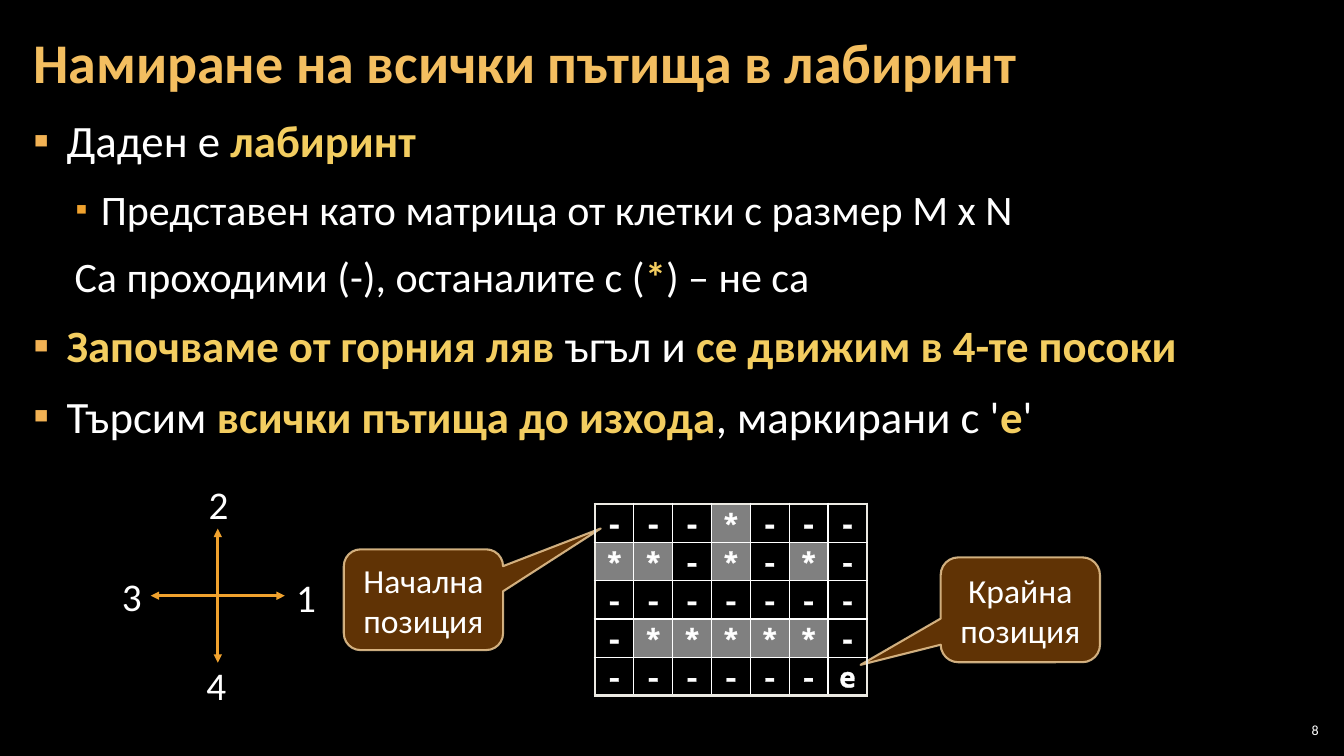
from dataclasses import dataclass

from pptx import Presentation
from pptx.dml.color import RGBColor
from pptx.enum import shapes, text
from pptx.oxml import parse_xml
from pptx.oxml.ns import nsdecls, qn
from pptx.util import Inches, Pt

# Content
TITLE = "Намиране на всички пътища в лабиринт"
# (level, has bullet, runs); a run is (wording, highlighted)
BULLETS = [
    (0, True, [("Даден е ", False), ("лабиринт", True)]),
    (1, True, [("Представен като матрица от клетки с размер M x N", False)]),
    (1, False, [("Са проходими (-), останалите с (", False), ("*", True),
                (") – не са", False)]),
    (0, True, [("Започваме от горния ляв ", True), ("ъгъл и ", False),
               ("се движим в 4-те посоки", True)]),
    (0, True, [("Търсим ", False), ("всички пътища до изхода", True),
               (", маркирани с '", False), ("e", True), ("'", False)]),
]
MAZE = ["---*---",
        "**-*-*-",
        "-------",
        "-*****-",
        "------e"]
# wording, box, pointer position
CALLOUTS = [
    ("Начална позиция", (3.41, 5.45, 1.58, 1.0), (1.113, -0.707)),
    ("Крайна позиция", (9.33, 5.53, 1.58, 1.04), (-1.003, 0.525)),
]
DIRECTIONS = [("1", 2.84, 5.64), ("2", 1.97, 4.72), ("4", 1.95, 6.51), ("3", 1.11, 5.63)]
COMPASS_CENTER, COMPASS_REACH = (2.16, 5.91), 0.665
PAGE_NUMBER = "8"


@dataclass(frozen=True)
class Theme:
    font: str = "Calibri"
    maze_font: str = "Noto Sans Mono"
    background: str = "000000"
    white: str = "FFFFFF"
    title: str = "F3BE60"
    highlight: str = "F3CD60"
    bullets: tuple = ("F2B254", "F0A22E")
    arrow: str = "F0A22E"
    callout_fill: str = "663606"
    callout_line: str = "F8D49E"
    wall: str = "808080"
    maze_frame: str = "ECEAE3"
    letter_outline: str = "F2F2F2"
    title_size: int = 40
    body_sizes: tuple = (32, 30)
    callout_size: int = 24
    direction_size: int = 28
    maze_size: int = 20
    page_size: int = 10


THEME = Theme()


def rgb(color):
    return RGBColor.from_string(color)


def box(left, top, width, height):
    return [Inches(value) for value in (left, top, width, height)]


def add_text(paragraph, wording, *, size, color=THEME.white, bold=False,
             font=THEME.font, align=None):
    run = paragraph.add_run()
    run.text = wording
    run.font.name = font
    run.font.size = Pt(size)
    run.font.bold = bold
    run.font.color.rgb = rgb(color)
    if align is not None:
        paragraph.alignment = align
    return run


def line_xml(tag, color, width):
    return parse_xml(f'<a:{tag} {nsdecls("a")} w="{int(Pt(width))}"><a:solidFill>'
                     f'<a:srgbClr val="{color}"/></a:solidFill></a:{tag}>')


def set_alpha(properties, percent):
    color = properties.find(qn("a:solidFill"))[0]
    color.append(parse_xml(f'<a:alpha {nsdecls("a")} val="{percent * 1000}"/>'))


def set_frame(frame, anchor, side=0.1, edge=0.05):
    frame.word_wrap = True
    frame.auto_size = text.MSO_AUTO_SIZE.NONE
    frame.vertical_anchor = anchor
    frame.margin_left = frame.margin_right = Inches(side)
    frame.margin_top = frame.margin_bottom = Inches(edge)


def set_bullet(paragraph, level, has_bullet):
    left, indent = ((0.33, -0.33), (0.67, -0.25))[level] if has_bullet else (0.41, 0)
    properties = paragraph._p.get_or_add_pPr()
    properties.set("marL", str(Inches(left)))
    properties.set("indent", str(Inches(indent)))
    if not has_bullet:
        properties.append(parse_xml(f'<a:buNone {nsdecls("a")}/>'))
        return
    percent = (100, 80)[level] * 1000
    for part in (f'<a:buClr {{}}><a:srgbClr val="{THEME.bullets[level]}"/></a:buClr>',
                 f'<a:buSzPct {{}} val="{percent}"/>',
                 f'<a:buFont {{}} typeface="{THEME.font}"/>',
                 '<a:buChar {} char="▪"/>'):
        properties.append(parse_xml(part.format(nsdecls("a"))))


def add_body(shape):
    shape.left, shape.top, shape.width, shape.height = box(0.21, 1.08, 12.91, 6.09)
    frame = shape.text_frame
    set_frame(frame, text.MSO_ANCHOR.TOP, 0.12, 0.04)
    for index, (level, has_bullet, runs) in enumerate(BULLETS):
        paragraph = frame.add_paragraph() if index else frame.paragraphs[0]
        paragraph.level = level
        paragraph.space_before = paragraph.space_after = Pt(6)
        set_bullet(paragraph, level, has_bullet)
        for wording, strong in runs:
            add_text(paragraph, wording, size=THEME.body_sizes[level], bold=strong,
                     color=THEME.highlight if strong else THEME.white)


def add_title(shape):
    shape.left, shape.top, shape.width, shape.height = box(0.21, 0.04, 12.91, 1.21)
    set_frame(shape.text_frame, text.MSO_ANCHOR.MIDDLE, 0.12, 0.04)
    paragraph = shape.text_frame.paragraphs[0]
    paragraph.line_spacing = 0.9
    add_text(paragraph, TITLE, size=THEME.title_size, color=THEME.title, bold=True,
             align=text.PP_ALIGN.LEFT)


def add_callout(slide, wording, place, pointer):
    shape = slide.shapes.add_shape(
        shapes.MSO_SHAPE.ROUNDED_RECTANGULAR_CALLOUT, *box(*place))
    for index, value in enumerate((*pointer, 0.167)):
        shape.adjustments[index] = value
    shape.shadow.inherit = False
    shape.fill.solid()
    shape.fill.fore_color.rgb = rgb(THEME.callout_fill)
    set_alpha(shape._element.spPr, 95)
    shape.line.color.rgb = rgb(THEME.callout_line)
    shape.line.width = Pt(1.5)
    set_alpha(shape.line._get_or_add_ln(), 80)
    set_frame(shape.text_frame, text.MSO_ANCHOR.MIDDLE)
    add_text(shape.text_frame.paragraphs[0], wording, size=THEME.callout_size,
             align=text.PP_ALIGN.CENTER)


def add_maze(slide):
    rows, columns = len(MAZE), len(MAZE[0])
    table = slide.shapes.add_table(rows, columns, *box(5.9, 5, 2.7, 1.83)).table
    table.first_row = table.horz_banding = False
    for row, symbols in enumerate(MAZE):
        for column, symbol in enumerate(symbols):
            cell = table.cell(row, column)
            cell.vertical_anchor = text.MSO_ANCHOR.MIDDLE
            cell.margin_left = cell.margin_right = Inches(0.04)
            cell.margin_top = cell.margin_bottom = 0
            on_frame = {"lnL": column == 0, "lnR": column == columns - 1,
                        "lnT": row == 0, "lnB": row == rows - 1}
            for tag, outer in on_frame.items():
                color, width = (THEME.maze_frame, 2.25) if outer else (THEME.white, 1)
                cell._tc.get_or_add_tcPr().append(line_xml(tag, color, width))
            if symbol == "*":
                cell.fill.solid()
                cell.fill.fore_color.rgb = rgb(THEME.wall)
            else:
                cell.fill.background()
            paragraph = cell.text_frame.paragraphs[0]
            paragraph.space_before = Pt(6)
            run = add_text(paragraph, symbol, size=THEME.maze_size, bold=True,
                           font=THEME.maze_font, align=text.PP_ALIGN.CENTER)
            run._r.get_or_add_rPr().insert(0, line_xml("ln", THEME.letter_outline, 0.75))


def add_arrow(slide, across, down):
    x, y = COMPASS_CENTER
    ends = (x - across, y - down, x + across, y + down)
    arrow = slide.shapes.add_connector(shapes.MSO_CONNECTOR.STRAIGHT, *box(*ends))
    arrow.line.color.rgb = rgb(THEME.arrow)
    arrow.line.width = Pt(2)
    for tag in ("headEnd", "tailEnd"):
        arrow.line._get_or_add_ln().append(
            parse_xml(f'<a:{tag} {nsdecls("a")} type="triangle"/>'))
    arrow._element.spPr.append(parse_xml(f'<a:effectLst {nsdecls("a")}/>'))


def add_label(slide, wording, place, size, anchor=text.MSO_ANCHOR.TOP, align=None, **margins):
    frame = slide.shapes.add_textbox(*box(*place)).text_frame
    set_frame(frame, anchor, **margins)
    add_text(frame.paragraphs[0], wording, size=size, align=align)


def main():
    presentation = Presentation()
    presentation.slide_width, presentation.slide_height = Inches(13.33), Inches(7.5)
    slide = presentation.slides.add_slide(presentation.slide_layouts[1])
    slide.background.fill.solid()
    slide.background.fill.fore_color.rgb = rgb(THEME.background)

    # Title and list
    add_title(slide.shapes.title)
    add_body(slide.placeholders[1])

    # Maze with its two callouts
    for callout in CALLOUTS:
        add_callout(slide, *callout)
    add_maze(slide)

    # Compass of directions
    add_arrow(slide, 0, COMPASS_REACH)
    add_arrow(slide, COMPASS_REACH, 0)
    for wording, left, top in DIRECTIONS:
        add_label(slide, wording, (left, top, 0.4, 0.57), THEME.direction_size)

    # Page number
    add_label(slide, PAGE_NUMBER, (12.65, 7.14, 0.47, 0.21), THEME.page_size,
              text.MSO_ANCHOR.MIDDLE, text.PP_ALIGN.RIGHT, side=0.04, edge=0.04)
    presentation.save("out.pptx")


if __name__ == "__main__":
    main()
